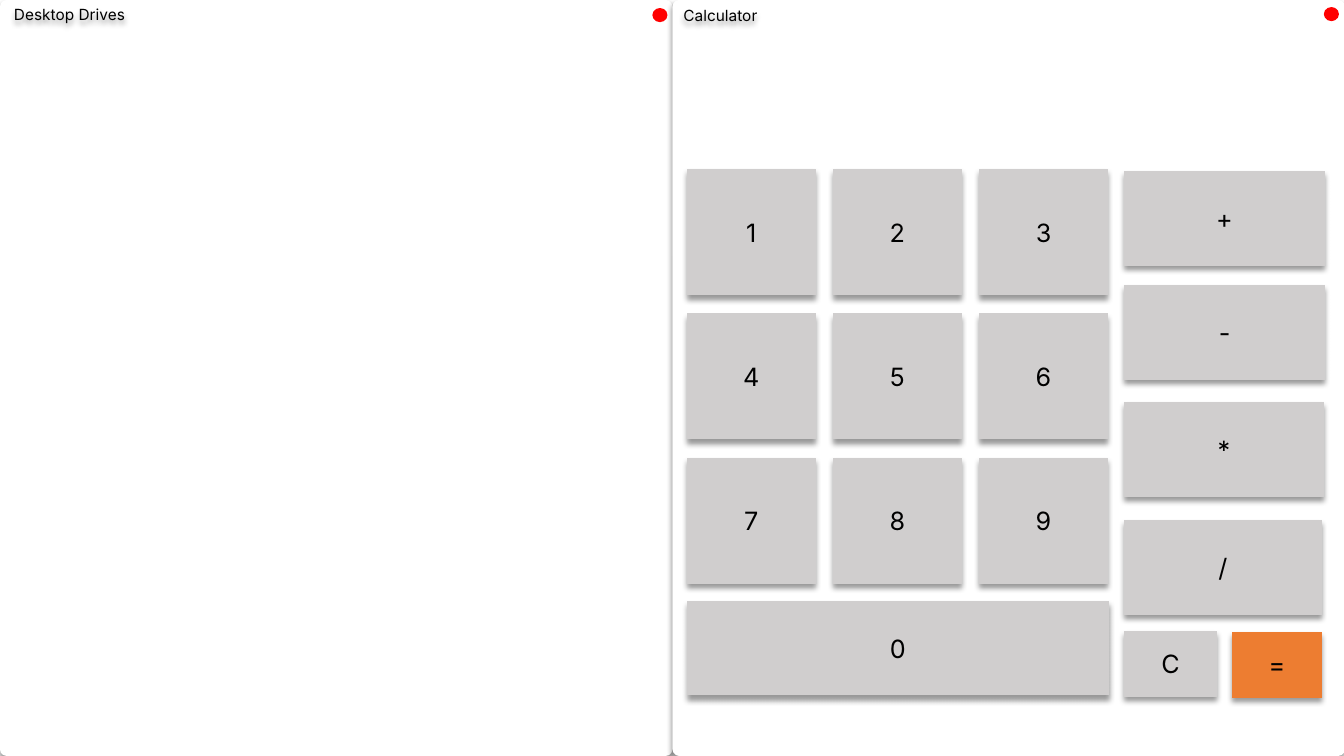
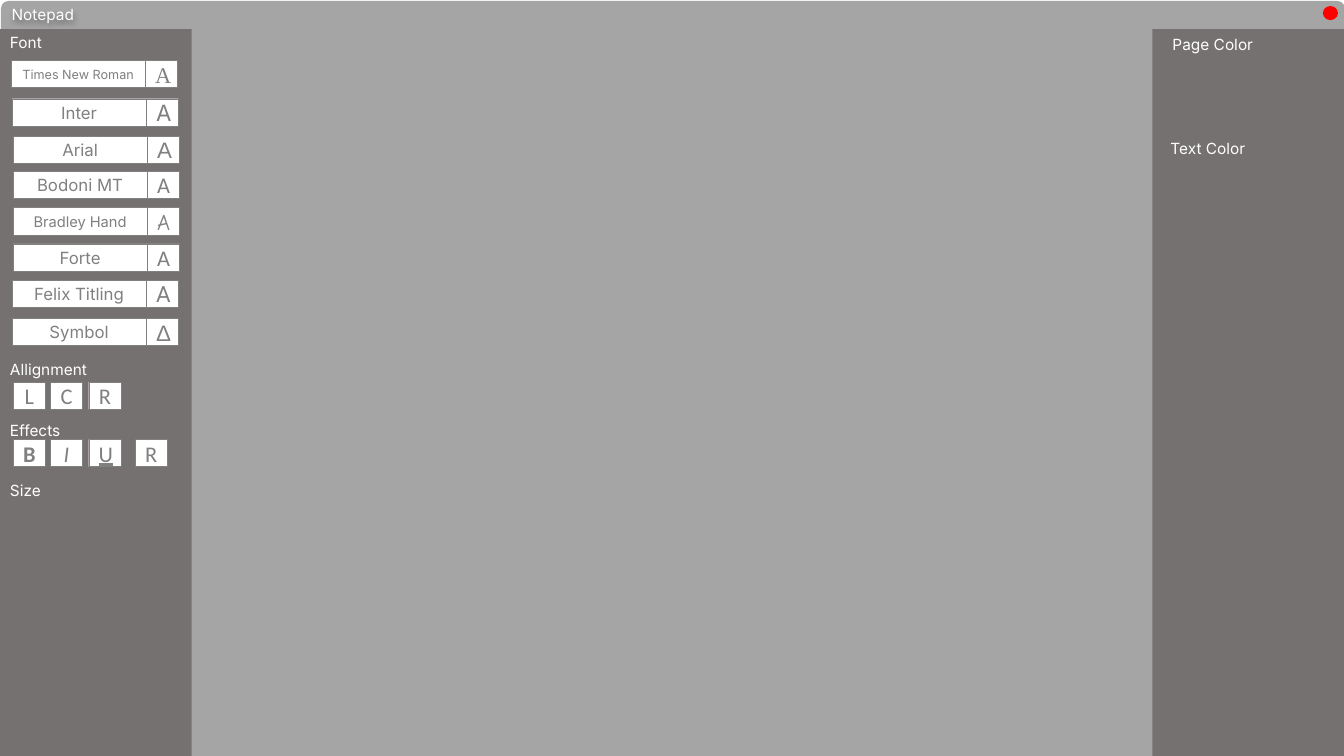
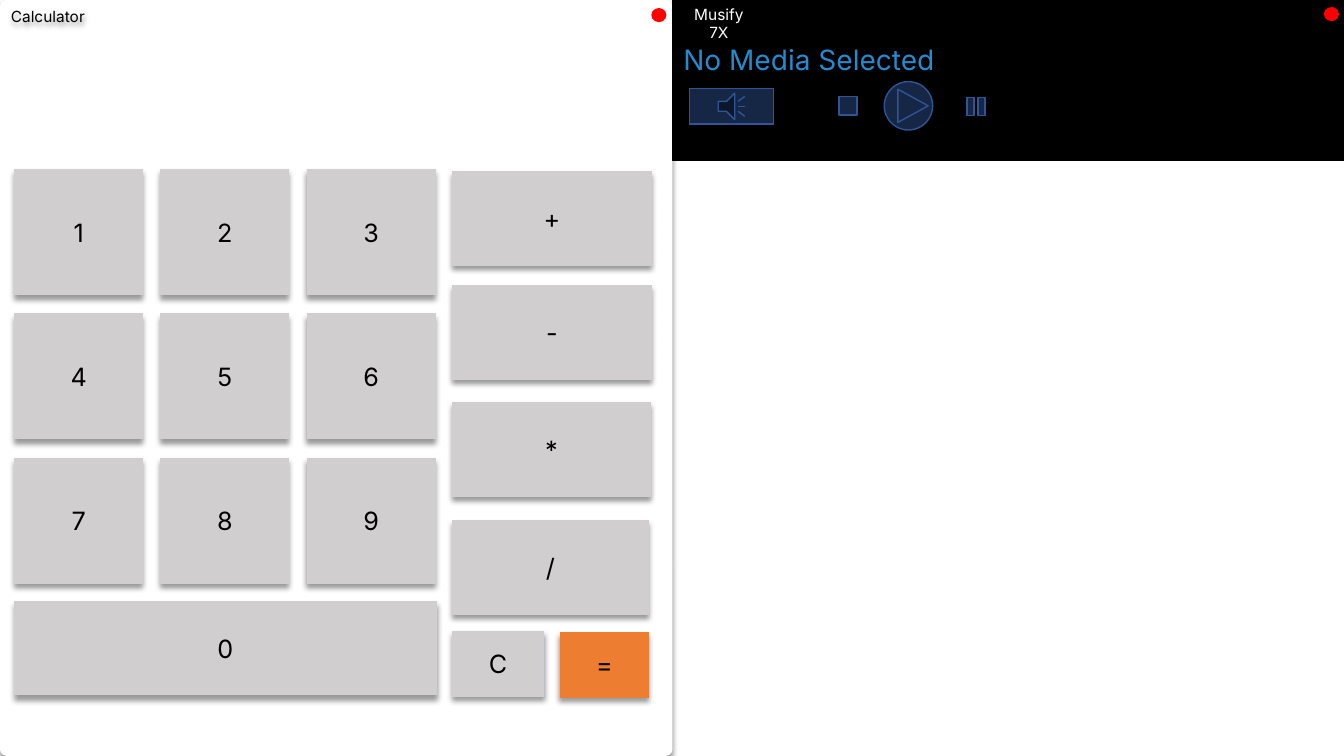
from dataclasses import dataclass

from lxml import etree
from pptx import Presentation
from pptx.dml.color import RGBColor
from pptx.enum.shapes import MSO_SHAPE
from pptx.enum.text import MSO_ANCHOR, MSO_AUTO_SIZE, PP_ALIGN
from pptx.oxml.ns import qn
from pptx.util import Inches, Pt

RECTANGLE = MSO_SHAPE.RECTANGLE
ROUNDED = MSO_SHAPE.ROUNDED_RECTANGLE
ELLIPSE = MSO_SHAPE.OVAL
TRIANGLE = MSO_SHAPE.ISOSCELES_TRIANGLE
KEY = MSO_SHAPE.ACTION_BUTTON_CUSTOM
SOUND = MSO_SHAPE.ACTION_BUTTON_SOUND
EQUAL_BARS = MSO_SHAPE.MATH_EQUAL
LEFT, CENTER = PP_ALIGN.LEFT, PP_ALIGN.CENTER
TOP, MIDDLE = MSO_ANCHOR.TOP, MSO_ANCHOR.MIDDLE
FIT_SHAPE = MSO_AUTO_SIZE.SHAPE_TO_FIT_TEXT
TITLE_ONLY = 5


@dataclass(frozen=True)
class Theme:
    white: str = "FFFFFF"
    black: str = "000000"
    close: str = "FF0000"
    key: str = "D0CECE"
    accent: str = "ED7D31"
    page: str = "A5A5A5"
    panel: str = "767171"
    tool: str = "808080"
    media_fill: str = "162746"
    media_line: str = "2F5597"
    media_text: str = "248BD0"
    font: str = "Inter"
    tool_font: str = "Calibri"
    label_size: float = 11
    name_size: float = 12
    tool_size: float = 16
    key_size: float = 18
    media_size: float = 20


THEME = Theme()
SLIDE_WIDTH, SLIDE_HEIGHT = 13.33, 7.5
HALF = 6.67
BAR_HEIGHT = 0.29
SIDE_WIDTH = 1.91
TOOL_WIDTH, TOOL_HEIGHT, NAME_WIDTH = 0.32, 0.27, 1.33

# Operator keys: sign, top, width
OPERATORS = [("+", 1.7, 1.99), ("-", 2.83, 1.99), ("*", 3.99, 1.98), ("/", 5.16, 1.96)]

# Font list: name, left, top, name size, sample letter, sample font
FONT_ROWS = [
    ("Times New Roman", 0.11, 0.6, 9, "A", "Times New Roman"),
    ("Inter", 0.12, 0.98, THEME.name_size, "A", "Inter"),
    ("Arial", 0.13, 1.35, THEME.name_size, "A", "Arial"),
    ("Bodoni MT", 0.13, 1.7, THEME.name_size, "A", "Calibri"),
    ("Bradley Hand", 0.13, 2.06, 10.5, "A", "Comic Neue"),
    ("Forte", 0.13, 2.42, THEME.name_size, "A", "Calibri"),
    ("Felix Titling", 0.12, 2.78, THEME.name_size, "A", "Roboto"),
    ("Symbol", 0.12, 3.16, THEME.name_size, "Δ", "Arial"),
]


def write_text(shape, text, size=THEME.label_size, color=THEME.black, font=THEME.font,
               align=CENTER, anchor=TOP, wrap=True, **style):
    """Write one formatted paragraph; style holds bold, italic or underline."""
    frame = shape.text_frame
    frame.word_wrap = wrap
    frame.vertical_anchor = anchor
    paragraph = frame.paragraphs[0]
    paragraph.alignment = align
    run = paragraph.add_run()
    run.text = text
    run.font.name = font
    run.font.size = Pt(size)
    run.font.color.rgb = RGBColor.from_string(color)
    for name, value in style.items():
        setattr(run.font, name, value)


def add_shadow(shape):
    """Give the shape a soft shadow straight below it."""
    shape.shadow.inherit = False
    effects = shape._element.spPr.find(qn("a:effectLst"))
    outer = etree.SubElement(effects, qn("a:outerShdw"), blurRad=str(Pt(4)), dist=str(Pt(3)),
                             dir="5400000", algn="t", rotWithShape="0")
    color = etree.SubElement(outer, qn("a:srgbClr"), val=THEME.black)
    etree.SubElement(color, qn("a:alpha"), val="40000")


class Desktop:
    def __init__(self):
        self.presentation = Presentation()
        self.presentation.slide_width = Inches(SLIDE_WIDTH)
        self.presentation.slide_height = Inches(SLIDE_HEIGHT)
        self.slide = None

    def new_slide(self):
        layout = self.presentation.slide_layouts[TITLE_ONLY]
        self.slide = self.presentation.slides.add_slide(layout)

    # Basic elements
    def shape(self, kind, left, top, width, height, fill, line=None, line_width=1,
              shadow=False, rotation=0, parent=None):
        shapes = parent.shapes if parent else self.slide.shapes
        shape = shapes.add_shape(kind, Inches(left), Inches(top), Inches(width), Inches(height))
        shape.rotation = rotation
        shape.fill.solid()
        shape.fill.fore_color.rgb = RGBColor.from_string(fill)
        if line:
            shape.line.color.rgb = RGBColor.from_string(line)
            shape.line.width = Pt(line_width)
        else:
            shape.line.fill.background()
        if shadow:
            add_shadow(shape)
        else:
            shape.shadow.inherit = False
        return shape

    def label(self, text, left, top, width, height=BAR_HEIGHT, wrap=False, **style):
        box = self.slide.shapes.add_textbox(Inches(left), Inches(top), Inches(width), Inches(height))
        write_text(box, text, wrap=wrap, **style)
        box.text_frame.auto_size = FIT_SHAPE
        return box

    def title(self, text, left, top, width, color=THEME.black):
        """Put the slide title in the bar of its first window."""
        title = self.slide.shapes.title
        self.slide.shapes._spTree.append(title._element)
        title.left, title.top = Inches(left), Inches(top)
        title.width, title.height = Inches(width), Inches(BAR_HEIGHT)
        write_text(title, text, color=color, wrap=False)
        title.text_frame.auto_size = FIT_SHAPE
        add_shadow(title)

    # Window parts
    def window(self, left, width=HALF, fill=THEME.white, shadow=True, top=0):
        frame = self.shape(ROUNDED, left, top, width, SLIDE_HEIGHT, fill, shadow=shadow)
        frame.adjustments[0] = 0.01

    def close_button(self, left, top=0.07):
        self.shape(ELLIPSE, left, top, 0.15, 0.14, THEME.close)

    def media_shape(self, kind, left, top, width, height, **options):
        self.shape(kind, left, top, width, height, THEME.media_fill,
                   line=THEME.media_line, **options)

    def key(self, text, left, top, width, height, fill=THEME.key):
        key = self.shape(KEY, left, top, width, height, fill, shadow=True)
        write_text(key, text, size=THEME.key_size, anchor=MIDDLE)

    def keypad(self, left):
        for index in range(9):
            row, column = divmod(index, 3)
            self.key(str(index + 1), left + 0.14 + 1.45 * column, 1.68 + 1.43 * row, 1.28, 1.25)
        self.key("0", left + 0.14, 5.96, 4.19, 0.94)
        for sign, top, width in OPERATORS:
            self.key(sign, left + 4.48, top, width, 0.94)
        self.key("C", left + 4.48, 6.26, 0.92, 0.65)
        self.key("=", left + 5.55, 6.27, 0.89, 0.65, fill=THEME.accent)

    def tool(self, text, left, top, width=TOOL_WIDTH, size=THEME.tool_size,
             font=THEME.tool_font, **style):
        tool = self.shape(RECTANGLE, left, top, width, TOOL_HEIGHT, THEME.white,
                          line=THEME.tool, line_width=0.25)
        write_text(tool, text, size=size, color=THEME.tool, font=font, anchor=MIDDLE, **style)


def build_drives_and_calculator(desktop):
    desktop.new_slide()
    # Drives window
    desktop.window(0)
    desktop.title("Desktop Drives", 0, 0, 1.38)
    desktop.close_button(6.47, 0.08)
    # Calculator window
    desktop.window(HALF)
    add_shadow(desktop.label("Calculator", HALF, 0.01, 0.95))
    desktop.keypad(HALF)
    desktop.close_button(13.13)


def build_notepad(desktop):
    desktop.new_slide()
    desktop.window(0.01, SLIDE_WIDTH, THEME.page, shadow=False, top=0.01)
    desktop.close_button(13.12, 0.06)
    desktop.title("Notepad", 0.01, 0, 0.83, color=THEME.white)
    # Side panels
    for left in (-0.01, 11.43):
        desktop.shape(RECTANGLE, left, BAR_HEIGHT, SIDE_WIDTH, SLIDE_HEIGHT - BAR_HEIGHT, THEME.panel)
    # Font list
    for name, left, top, size, letter, font in FONT_ROWS:
        desktop.tool(name, left, top, width=NAME_WIDTH, size=size, font=THEME.font)
        desktop.tool(letter, left + NAME_WIDTH, top, font=font)
    # Alignment and effect buttons
    button_lefts = (0.13, 0.5, 0.88, 1.34)
    for letter, left in zip("LCR", button_lefts):
        desktop.tool(letter, left, 3.79)
    effects = (("B", {"bold": True}), ("I", {"italic": True}), ("U", {"underline": True}), ("R", {}))
    for (letter, style), left in zip(effects, button_lefts):
        desktop.tool(letter, left, 4.36, **style)
    # Section labels
    for text, left, top, width in (
        ("Font", 0, 0.28, 0.54),
        ("Allignment", 0, 3.52, 0.99),
        ("Effects", 0, 4.13, 0.73),
        ("Size", 0, 4.72, 0.52),
        ("Page Color", 11.53, 0.3, 1.01),
        ("Text Color", 11.51, 1.33, 0.98),
    ):
        desktop.label(text, left, top, width, color=THEME.white, align=LEFT)


def build_calculator_and_player(desktop):
    desktop.new_slide()
    # Calculator window
    desktop.window(0)
    desktop.title("Calculator", 0, 0.02, 0.95)
    desktop.keypad(0)
    desktop.close_button(6.46, 0.08)
    # Player window
    desktop.shape(RECTANGLE, HALF, 0, 6.66, 1.59, THEME.black, line=THEME.black)
    desktop.label("Musify 7X", HALF, 0, 0.92, height=0.47, wrap=True, color=THEME.white)
    desktop.label("No Media Selected", 6.68, 0.37, 6.53, height=0.44, wrap=True,
                  size=THEME.media_size, color=THEME.media_text, align=LEFT)
    desktop.close_button(13.13)
    # Player controls
    desktop.media_shape(SOUND, 6.84, 0.88, 0.83, 0.35)
    play_button = desktop.slide.shapes.add_group_shape()
    desktop.media_shape(ELLIPSE, 8.77, 0.81, 0.48, 0.48, parent=play_button)
    desktop.media_shape(TRIANGLE, 8.89, 0.9, 0.33, 0.3, rotation=90, parent=play_button)
    desktop.media_shape(EQUAL_BARS, 9.56, 0.9, 0.24, 0.31, rotation=270)
    desktop.media_shape(RECTANGLE, 8.32, 0.96, 0.18, 0.18)


def main():
    desktop = Desktop()
    build_drives_and_calculator(desktop)
    build_notepad(desktop)
    build_calculator_and_player(desktop)
    desktop.presentation.save("out.pptx")


if __name__ == "__main__":
    main()
